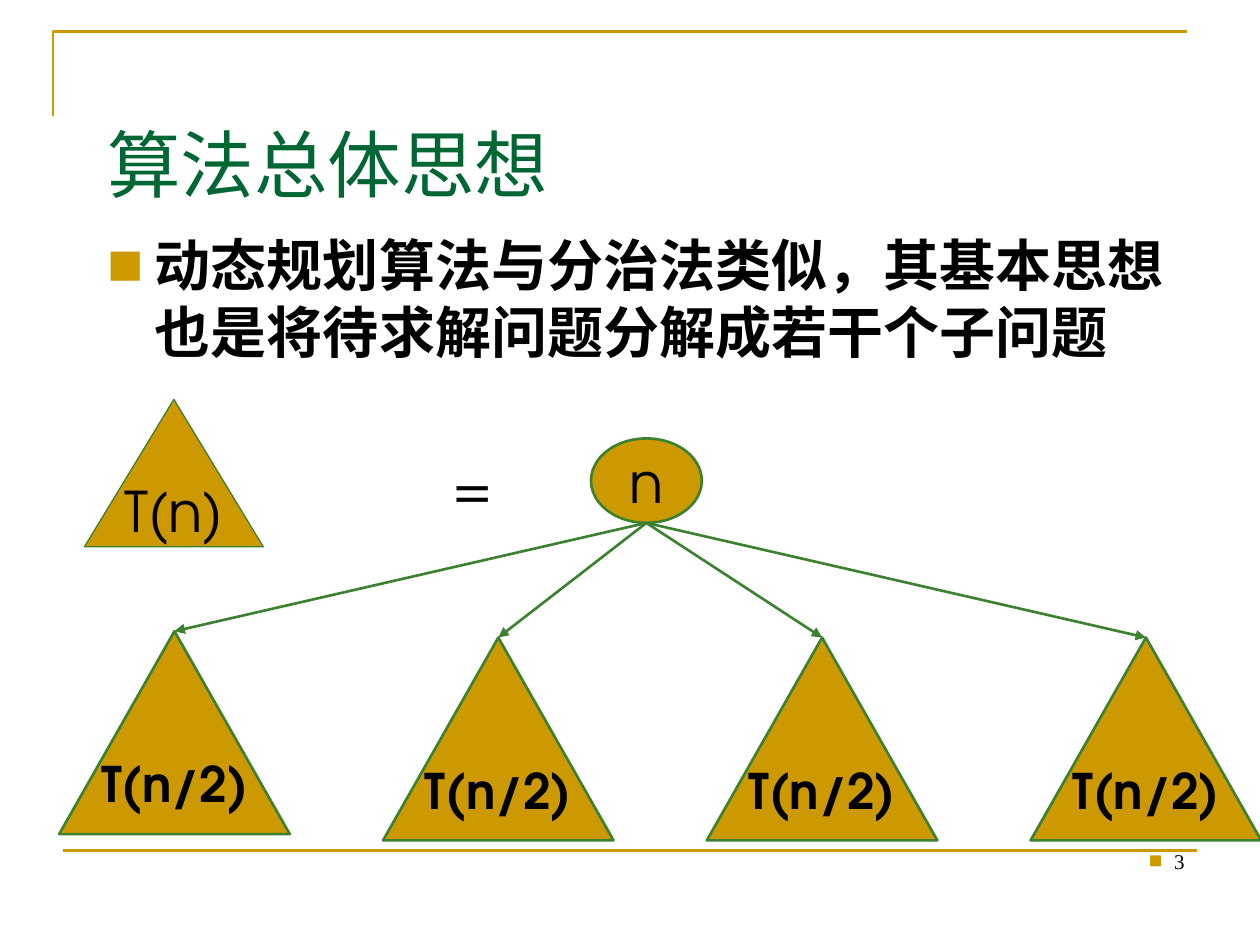
"""Build the slide on the general idea of dynamic programming."""
import pptx
import pptx.dml.color
import pptx.enum.shapes
import pptx.enum.text
import pptx.oxml
import pptx.oxml.ns
import pptx.util

Inches = pptx.util.Inches
SHAPE = pptx.enum.shapes.MSO_SHAPE
ALIGN = pptx.enum.text.PP_ALIGN
ANCHOR = pptx.enum.text.MSO_ANCHOR

TITLE = "算法总体思想"
BODY = "动态规划算法与分治法类似，其基本思想也是将待求解问题分解成若干个子问题"
NUMBER = "3"
ROOT, WHOLE, EQUALS, PART = "n", "T(n)", "=", "T(n/2)"
PART_TOPS = [5.01, 5.06, 5.06, 5.06]
PART_LEFT, PART_STEP, PART_SIZE = 0.47, 2.57, (1.83, 1.61)

GOLD, GREEN, DARK_GREEN, BLACK = "CC9900", "3B812F", "006633", "000000"
CJK, SANS, SERIF = "Noto Sans CJK SC", "TeX Gyre Adventor", "Times New Roman"


def color(value):
    return pptx.dml.color.RGBColor.from_string(value)


def add_xml(parent, tag, **attributes):
    element = pptx.oxml.parse_xml(f"<a:{tag} {pptx.oxml.ns.nsdecls('a')}/>")
    for name, value in attributes.items():
        element.set(name, str(value))
    parent.append(element)


def place(shape, left, top, width, height):
    shape.left, shape.top = Inches(left), Inches(top)
    shape.width, shape.height = Inches(width), Inches(height)


def write(shape, text, size, font, ink=BLACK, bold=False, align=ALIGN.LEFT, anchor=ANCHOR.TOP, wrap=True):
    frame = shape.text_frame
    frame.text = text
    frame.word_wrap = wrap
    frame.auto_size = pptx.enum.text.MSO_AUTO_SIZE.NONE
    frame.vertical_anchor = anchor
    para = frame.paragraphs[0]
    para.alignment = align
    span = para.runs[0]
    span.font.size = pptx.util.Pt(size)
    span.font.name = font
    span.font.bold = bold
    span.font.color.rgb = color(ink)
    add_xml(span.font._element, "ea", typeface=CJK)
    return para


def add_bullet(para, indent):
    properties = para._p.get_or_add_pPr()
    properties.set("marL", str(Inches(indent)))
    properties.set("indent", str(-Inches(indent)))
    add_xml(properties, "buClr")
    add_xml(properties[-1], "srgbClr", val=GOLD)
    add_xml(properties, "buSzPct", val=65000)
    add_xml(properties, "buFont", typeface=CJK)
    add_xml(properties, "buChar", char="■")


def style_line(shape, ink, weight=1.5):
    shape.line.color.rgb = color(ink)
    shape.line.width = pptx.util.Pt(weight)


def add_node(page, kind, box, text, size, bold=False, weight=1.5):
    node = page.shapes.add_shape(kind, *map(Inches, box))
    node.shadow.inherit = False
    node.fill.solid()
    node.fill.fore_color.rgb = color(GOLD)
    style_line(node, GREEN, weight)
    write(node, text, size, SANS, bold=bold, align=ALIGN.CENTER, anchor=ANCHOR.MIDDLE, wrap=False)
    return node


def add_line(page, start, end, ink):
    line = page.shapes.add_connector(pptx.enum.shapes.MSO_CONNECTOR.STRAIGHT, *map(Inches, start + end))
    style_line(line, ink)
    add_xml(line._element.spPr, "effectLst")
    return line


def add_frame(page):
    builder = page.shapes.build_freeform(Inches(0.42), Inches(0.92))
    builder.add_line_segments([(Inches(0.42), Inches(0.25)), (Inches(9.42), Inches(0.25))], close=False)
    corner = builder.convert_to_shape()
    corner.shadow.inherit = False
    corner.fill.background()
    style_line(corner, GOLD)
    add_line(page, (0.5, 6.75), (9.5, 6.75), GOLD)


def add_text(page, box, *args, **options):
    return write(page.shapes.add_textbox(*map(Inches, box)), *args, **options)


def add_tree(page):
    add_node(page, SHAPE.OVAL, (4.69, 3.48, 0.88, 0.67), ROOT, 32)
    for index, top in enumerate(PART_TOPS):
        left = PART_LEFT + index * PART_STEP
        part = add_node(page, SHAPE.ISOSCELES_TRIANGLE, (left, top, *PART_SIZE), PART, 28, bold=True)
        arrow = add_line(page, (5.13, 4.15), (left + PART_SIZE[0] / 2, top), GREEN)
        arrow.end_connect(part, 0)
        add_xml(arrow.line._get_or_add_ln(), "tailEnd", type="triangle")


def main():
    deck = pptx.Presentation()
    deck.slide_width, deck.slide_height = Inches(10), Inches(7.5)
    page = deck.slides.add_slide(deck.slide_layouts[1])
    title, body = page.placeholders
    place(title, 0.75, 0.67, 8.5, 1.25)
    write(title, TITLE, 42, SERIF, DARK_GREEN, anchor=ANCHOR.MIDDLE)
    place(body, 0.75, 1.78, 8.94, 4.5)
    add_bullet(write(body, BODY, 32, CJK, bold=True), 0.38)
    add_frame(page)
    number = add_text(page, (7.17, 6.48, 2.33, 0.5), NUMBER, 12, SERIF, align=ALIGN.RIGHT, anchor=ANCHOR.BOTTOM)
    add_bullet(number, 0.2)
    add_tree(page)
    add_node(page, SHAPE.ISOSCELES_TRIANGLE, (0.67, 3.17, 1.42, 1.17), WHOLE, 32, weight=0.75)
    add_text(page, (3.17, 3.54, 1.17, 0.63), EQUALS, 32, SANS, align=ALIGN.CENTER)
    deck.save("out.pptx")


if __name__ == "__main__":
    main()
